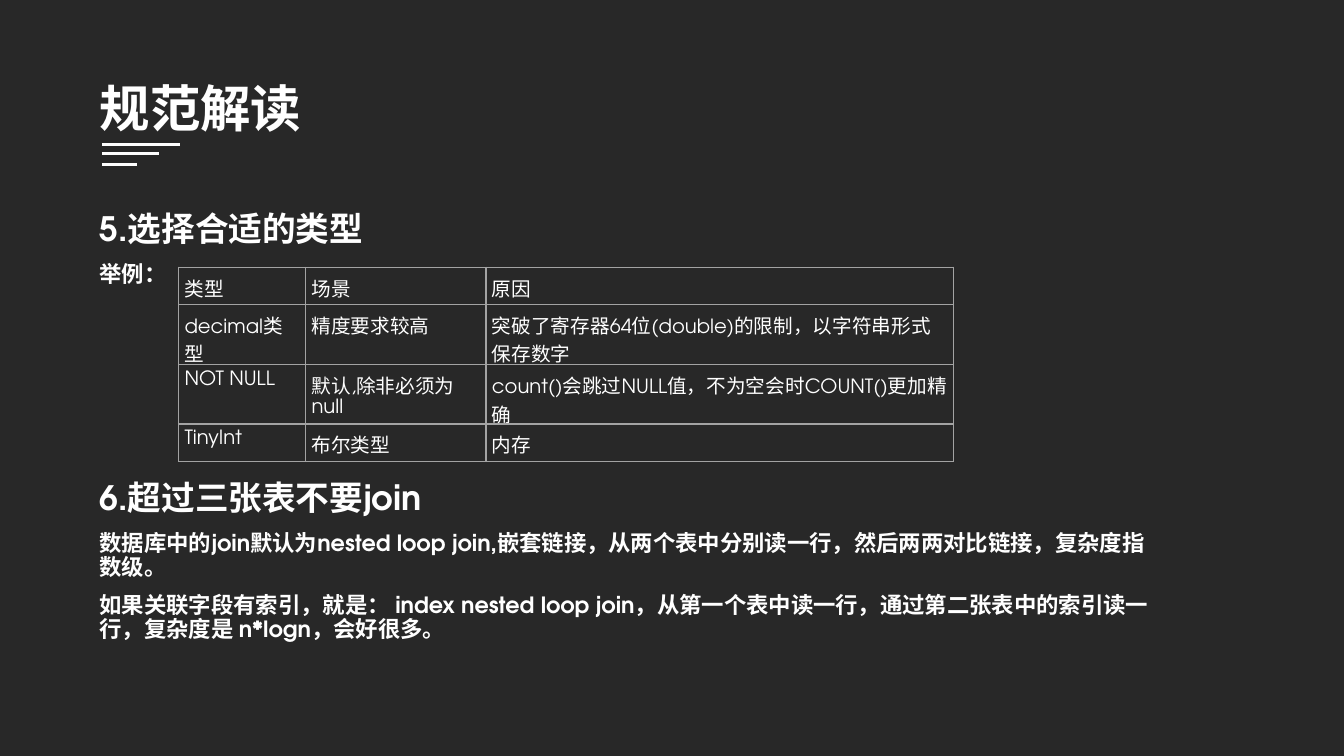
from pptx import Presentation
from pptx.dml.color import RGBColor as Rgb
from pptx.enum.shapes import MSO_CONNECTOR as Link
from pptx.oxml import parse_xml
from pptx.oxml.ns import nsdecls
from pptx.util import Inches as In, Pt

HUES = {"back": "282828", "ink": "FFFFFF", "rule": "A3A3A3"}
FACE = "TeX Gyre Adventor"
WIDE, HIGH = 13.33, 7.5
LEFT = 0.89
BARS = [(0, 0.78), (0.09, 0.57), (0.2, 0.35)]
COLS = [1.26, 1.79, 4.64]
ROWS = [0.37, 0.6, 0.58, 0.37]
CELLS = [
    ["类型", "场景", "原因"],
    ["decimal类型", "精度要求较高", "突破了寄存器64位(double)的限制，以字符串形式保存数字"],
    ["NOT NULL", "默认,除非必须为null", "count()会跳过NULL值，不为空会时COUNT()更加精确"],
    ["TinyInt", "布尔类型", "内存"],
]
TYPES = [("5.选择合适的类型", 24), ("举例：", 16)]
JOINS = [
    ("6.超过三张表不要join", 24),
    ("数据库中的join默认为nested loop join,嵌套链接，从两个表中分别读一行，然后两两对比链接，复杂度指数级。", 16),
    ("如果关联字段有索引，就是： index nested loop join，从第一个表中读一行，通过第二张表中的索引读一行，复杂度是 n*logn，会好很多。", 16),
]


def style(para, text, size, bold):
    """Write one run of text into a paragraph."""
    run = para.add_run()
    run.text = text
    for key, val in {"name": FACE, "size": Pt(size), "bold": bold}.items():
        setattr(run.font, key, val)
    run.font.color.rgb = Rgb.from_string(HUES["ink"])


def block(slide, box, lines):
    """Place bold lines of text in a box."""
    frame = slide.shapes.add_textbox(*map(In, box)).text_frame
    frame.word_wrap = True
    for i, (text, size) in enumerate(lines):
        para = frame.add_paragraph() if i else frame.paragraphs[0]
        para.line_spacing = 0.9
        para.space_before = Pt(10 if i else 0)
        style(para, text, size, True)


def head(slide, box):
    """Place the title and the three bars beneath it."""
    block(slide, box, [("规范解读", 36)])
    x, y = box[0] + 0.12, box[1] + box[3]
    for drop, span in BARS:
        ends = x, y + drop, x + span, y + drop
        bar = slide.shapes.add_connector(Link.STRAIGHT, *map(In, ends))
        bar.line.width = Pt(2.25)
        bar.line.color.rgb = Rgb.from_string(HUES["ink"])
        bar._element.spPr.append(parse_xml(f"<a:effectLst {nsdecls('a')}/>"))


def edge(cell):
    """Draw thin rules on all four sides of a cell."""
    props = cell._tc.get_or_add_tcPr()
    for i, side in enumerate("LRTB"):
        props.insert(i, parse_xml(
            f'<a:ln{side} {nsdecls("a")} w="{Pt(1)}"><a:solidFill>'
            f'<a:srgbClr val="{HUES["rule"]}"/></a:solidFill></a:ln{side}>'))


def grid(slide, x, y):
    """Place the table of column types."""
    box = x, y, sum(COLS), sum(ROWS)
    table = slide.shapes.add_table(len(ROWS), len(COLS), *map(In, box)).table
    table.first_row = table.horz_banding = False
    for col, wide in zip(table.columns, COLS):
        col.width = In(wide)
    for row, high, texts in zip(table.rows, ROWS, CELLS):
        row.height = In(high)
        for cell, text in zip(row.cells, texts):
            for side in ("left", "right", "top", "bottom"):
                setattr(cell, f"margin_{side}", In(0.06))
            cell.fill.background()
            edge(cell)
            style(cell.text_frame.paragraphs[0], text, 14, False)


def main():
    """Build the slide and save it."""
    deck = Presentation()
    deck.slide_width, deck.slide_height = In(WIDE), In(HIGH)
    slide = deck.slides.add_slide(deck.slide_layouts[6])
    fill = slide.background.fill
    fill.solid()
    fill.fore_color.rgb = Rgb.from_string(HUES["back"])
    head(slide, (LEFT, 0.78, 3.94, 0.65))
    wide = WIDE * 0.8
    block(slide, (LEFT, 4.73, wide, 2.1), JOINS)
    block(slide, (LEFT, 2.06, wide, 0.85), TYPES)
    grid(slide, LEFT + 0.88, 2.65)
    deck.save("out.pptx")


if __name__ == "__main__":
    main()
